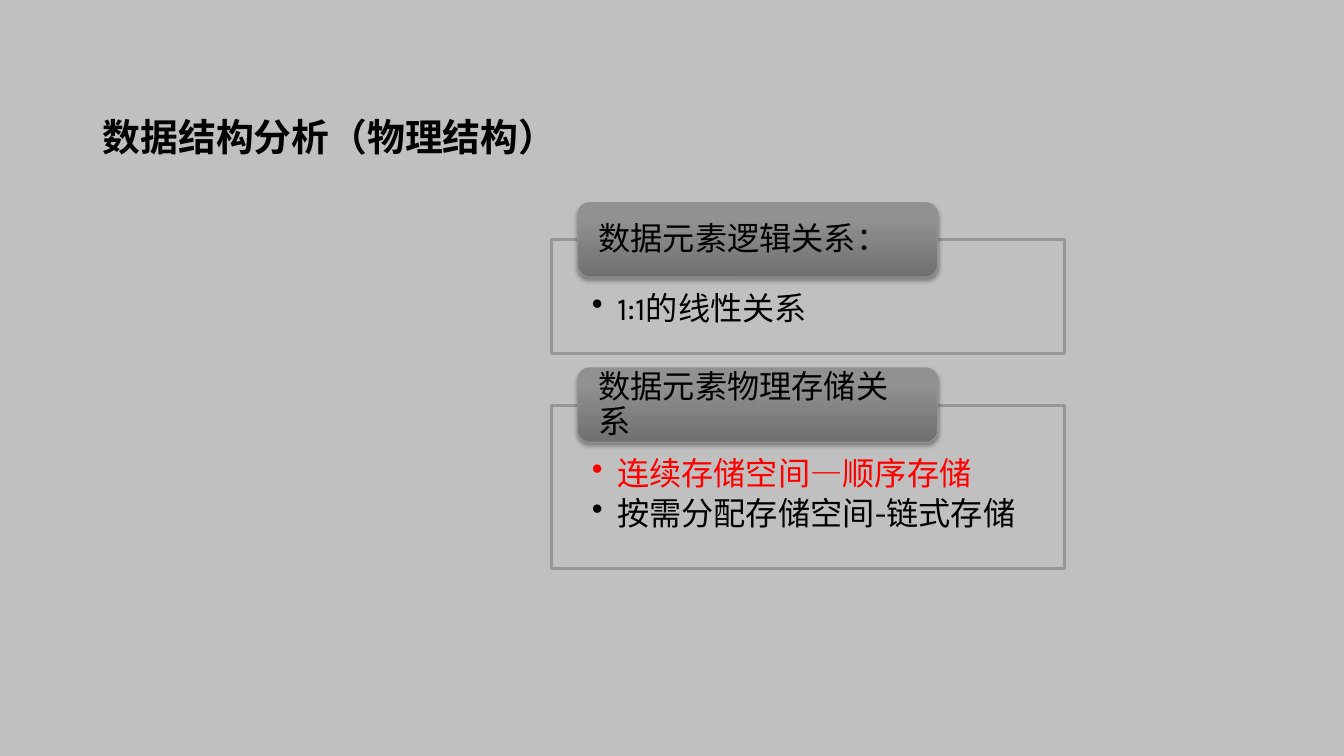
from dataclasses import dataclass

import pptx
import pptx.dml.color
import pptx.enum.shapes
import pptx.enum.text
import pptx.oxml
import pptx.util
from pptx.util import Inches, Pt

NS = 'xmlns:a="http://schemas.openxmlformats.org/drawingml/2006/main"'
SHAPE = pptx.enum.shapes.MSO_SHAPE
ANCHOR = pptx.enum.text.MSO_ANCHOR
ALIGN = pptx.enum.text.PP_ALIGN
INK, RED, GREY = "010000", "FF0000", "C0C0C0"
STOPS = ((0, "707070"), (80, "919191"), (100, "929292"))


@dataclass
class Line:
    text: str
    hue: str = INK


@dataclass
class Panel:
    top: float
    height: float
    head: str
    lines: list[Line]


PANELS = [
    Panel(2.38, 1.13, "数据元素逻辑关系：", [Line("1:1的线性关系")]),
    Panel(4.02, 1.62, "数据元素物理存储关系",
          [Line("连续存储空间—顺序存储", RED), Line("按需分配存储空间-链式存储")]),
]


def color(code: str) -> pptx.dml.color.RGBColor:
    return pptx.dml.color.RGBColor.from_string(code)


def node(xml: str):
    return pptx.oxml.parse_xml(xml)


def setup(frame, anchor, pads: tuple) -> None:
    left, top, right, bottom = map(Inches, pads)
    form = {"word_wrap": True, "vertical_anchor": anchor, "margin_left": left,
            "margin_top": top, "margin_right": right, "margin_bottom": bottom}
    for key, value in form.items():
        setattr(frame, key, value)


def write(para, line: Line, size: float = 23, space: float = 0.9, bold: bool = False) -> None:
    para.alignment = ALIGN.LEFT
    para.line_spacing = space
    run = para.add_run()
    run.text = line.text
    for key, value in {"name": "Karla", "size": Pt(size), "bold": bold}.items():
        setattr(run.font, key, value)
    run.font.color.rgb = color(line.hue)


def block(slide, kind, box: tuple, edge: str, width: float):
    shape = slide.shapes.add_shape(kind, *map(Inches, box))
    shape.shadow.inherit = False
    shape.line.color.rgb = color(edge)
    shape.line.width = Pt(width)
    return shape


def body(slide, panel: Panel) -> None:
    shape = block(slide, SHAPE.RECTANGLE, (5.47, panel.top, 5.09, panel.height), "969696", 2)
    shape.fill.solid()
    shape.fill.fore_color.rgb = color(GREY)
    shape.fill._xPr.solidFill[0].append(node(f'<a:alpha {NS} val="90000"/>'))
    frame = shape.text_frame
    setup(frame, ANCHOR.TOP, (0.4, 0.52, 0.4, 0.18))
    for i, line in enumerate(panel.lines):
        para = frame.add_paragraph() if i else frame.paragraphs[0]
        write(para, line)
        para.level = 1
        para.space_after = Pt(3.5)
        props = para._p.get_or_add_pPr()
        props.set("marL", str(Inches(0.25)))
        props.set("indent", str(Inches(-0.25)))
        props.append(node(f'<a:buChar {NS} char="•"/>'))


def label(slide, panel: Panel) -> None:
    box = (5.73, panel.top - 0.37, 3.57, 0.74)
    shape = block(slide, SHAPE.ROUNDED_RECTANGLE, box, "939393", 0.75)
    # Shading from dark at the bottom to light at the top
    stops = "".join(f'<a:gs pos="{at * 1000}"><a:srgbClr val="{hue}"/></a:gs>'
                    for at, hue in STOPS)
    props = shape._element.spPr
    props.find(".//{*}prstGeom").addnext(node(
        f'<a:gradFill {NS}><a:gsLst>{stops}</a:gsLst>'
        '<a:lin ang="16200000" scaled="0"/></a:gradFill>'))
    # Soft shadow below
    props.find("{*}effectLst").append(node(
        f'<a:outerShdw {NS} blurRad="{Pt(3.1)}" dist="{Pt(1.8)}" dir="5400000" '
        'rotWithShape="0"><a:srgbClr val="000000"><a:alpha val="35000"/>'
        '</a:srgbClr></a:outerShdw>'))
    setup(shape.text_frame, ANCHOR.MIDDLE, (0.17, 0.04, 0.17, 0.04))
    write(shape.text_frame.paragraphs[0], Line(panel.head))


def main() -> None:
    deck = pptx.Presentation()
    deck.slide_width, deck.slide_height = Inches(13.33), Inches(7.5)
    slide = deck.slides.add_slide(deck.slide_layouts[6])
    slide.background.fill.solid()
    slide.background.fill.fore_color.rgb = color(GREY)

    # Title
    title = slide.shapes.add_textbox(*map(Inches, (0.92, 0.46, 7.32, 1.85)))
    setup(title.text_frame, ANCHOR.MIDDLE, (0.1, 0.05, 0.1, 0.05))
    write(title.text_frame.paragraphs[0], Line("数据结构分析（物理结构）"), 27, 0.85, True)

    # Panels with their labels
    for panel in PANELS:
        body(slide, panel)
        label(slide, panel)
    deck.save("out.pptx")


if __name__ == "__main__":
    main()
